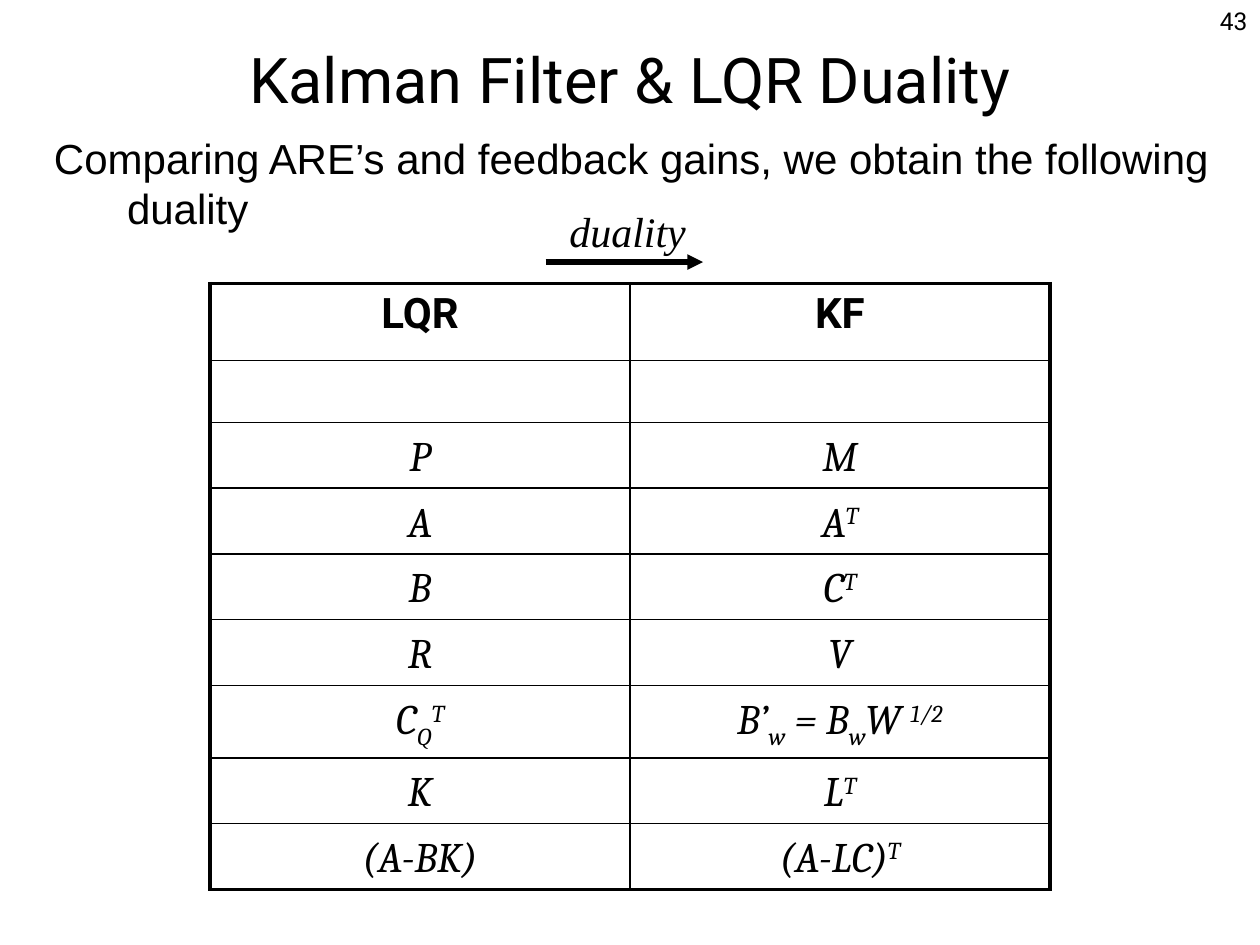
from typing import NamedTuple

from lxml.etree import SubElement as Sub
from pptx import Presentation
from pptx.dml.color import RGBColor as Rgb
from pptx.enum.text import MSO_ANCHOR as Anchor, MSO_AUTO_SIZE as Fit, PP_ALIGN as Align
from pptx.oxml.ns import qn
from pptx.util import Inches, Pt

WIDE, HIGH = 10, 7.5
INK = {"text": "000000", "page": "FFFFFF", "line": "000000"}
THICK, THIN = 2.25, 1
SHIFT = {"^": 30000, "_": -25000}

HEAD = dict(name="Roboto", size=Pt(24), bold=True)
MATH = dict(name="Cambria", size=Pt(24), italic=True)


class Pair(NamedTuple):
    """One table row; '|' parts runs, '^' raises and '_' lowers a run."""
    lqr: str
    kf: str


class Note(NamedTuple):
    """A text box with its place, look and paragraph alignment."""
    text: str
    box: tuple
    look: dict
    align: Align = Align.LEFT
    wrap: bool = True
    hang: float = 0


PAIRS = [
    Pair("LQR", "KF"),
    Pair("", ""),
    Pair("P", "M"),
    Pair("A", "A|^T"),
    Pair("B", "C|^T"),
    Pair("R", "V"),
    Pair("C|_Q|^T", "B’|_w| = B|_w|W |^1/2"),
    Pair("K", "L|^T"),
    Pair("(A-BK)", "(A-LC)|^T"),
]

NOTES = [
    Note("43", (7.92, 0, 2.08, 0.5), dict(name="Roboto", size=Pt(14)), Align.RIGHT),
    Note("Comparing ARE’s and feedback gains, we obtain the following duality",
         (0.33, 1, 9.42, 6.25), dict(name="Arial", size=Pt(24)), hang=0.58),
    Note("duality", (4.42, 1.58, 1.16, 0.5),
         dict(name="Times New Roman", size=Pt(24), italic=True), wrap=False),
]


def style(font, look: dict) -> None:
    """Set each format value and the text colour on a font."""
    for key, val in look.items():
        setattr(font, key, val)
    font.color.rgb = Rgb.from_string(INK["text"])


def write(para, text: str, look: dict) -> None:
    """Add runs, raised or lowered by their leading mark."""
    for part in text.split("|"):
        mark = part[:1]
        run = para.add_run()
        run.text = part[1:] if mark in SHIFT else part
        style(run.font, look)
        if mark in SHIFT:
            run._r.get_or_add_rPr().set("baseline", str(SHIFT[mark]))


def space(para) -> None:
    """Put a fifth of a line before the paragraph."""
    para.space_before = Pt(0)
    gap = para._p.pPr.find(qn("a:spcBef"))
    gap.clear()
    Sub(gap, qn("a:spcPct"), val="20000")


def place(shape, box: tuple) -> None:
    """Move and size a shape, in inches."""
    for key, val in zip(("left", "top", "width", "height"), box):
        setattr(shape, key, Inches(val))


def add_title(slide, text: str) -> None:
    """Fill and format the title placeholder."""
    title = slide.shapes.title
    place(title, (0.75, 0, WIDE - 1.5, 1.25))
    frame = title.text_frame
    frame.vertical_anchor, frame.auto_size = Anchor.MIDDLE, Fit.NONE
    para = frame.paragraphs[0]
    para.alignment = Align.CENTER
    write(para, text, dict(name="Roboto", size=Pt(36)))


def add_note(slide, note: Note) -> None:
    """Draw one text box."""
    shape = slide.shapes.add_textbox(*map(Inches, note.box))
    frame = shape.text_frame
    frame.word_wrap = note.wrap
    frame.auto_size = Fit.NONE if note.wrap else Fit.SHAPE_TO_FIT_TEXT
    para = frame.paragraphs[0]
    para.alignment = note.align
    write(para, note.text, note.look)
    if note.hang:
        space(para)
        props = para._p.get_or_add_pPr()
        props.set("marL", str(Inches(note.hang)))
        props.set("indent", str(-Inches(note.hang)))


def edge(cell, sides: dict) -> None:
    """Draw the four borders of a cell, widths in points."""
    props = cell._tc.get_or_add_tcPr()
    for side, width in sides.items():
        line = Sub(props, qn(f"a:ln{side}"), w=str(Pt(width)))
        Sub(Sub(line, qn("a:solidFill")), qn("a:srgbClr"), val=INK["line"])
    cell.fill.background()


def add_grid(slide, pairs: list) -> None:
    """Draw the table with a thick frame and thin inner lines."""
    rows, cols = len(pairs), len(Pair._fields)
    span = WIDE * 2 / 3
    box = ((WIDE - span) / 2, 2.25, span, 4.13)
    grid = slide.shapes.add_table(rows, cols, *map(Inches, box)).table
    grid.first_row = grid.horz_banding = False
    for r, pair in enumerate(pairs):
        grid.rows[r].height = Inches(0.44 if r else 0.61)
        for c, text in enumerate(pair):
            cell = grid.cell(r, c)
            para = cell.text_frame.paragraphs[0]
            para.alignment = Align.CENTER
            if text:
                if r:
                    para.line_spacing = 1.1
                space(para)
                write(para, text, MATH if r else HEAD)
            else:
                last = Sub(para._p, qn("a:endParaRPr"), sz="2400")
                Sub(last, qn("a:latin"), typeface=HEAD["name"])
            ends = dict(L=c == 0, R=c == cols - 1, T=r == 0, B=r == rows - 1)
            edge(cell, {k: THICK if end else THIN for k, end in ends.items()})


def add_arrow(slide, start: tuple, end: tuple) -> None:
    """Draw a straight arrow."""
    arrow = slide.shapes.add_connector(1, *map(Inches, start + end))
    arrow.line.width = Pt(3)
    arrow.line.color.rgb = Rgb.from_string(INK["line"])
    Sub(arrow.line._get_or_add_ln(), qn("a:tailEnd"), type="triangle")
    Sub(arrow._element.spPr, qn("a:effectLst"))


def main() -> None:
    """Build and save the slide."""
    deck = Presentation()
    deck.slide_width, deck.slide_height = Inches(WIDE), Inches(HIGH)
    slide = deck.slides.add_slide(deck.slide_layouts[5])
    fill = slide.background.fill
    fill.solid()
    fill.fore_color.rgb = Rgb.from_string(INK["page"])
    page, body, label = NOTES
    add_note(slide, page)
    add_title(slide, "Kalman Filter & LQR Duality")
    add_note(slide, body)
    add_grid(slide, PAIRS)
    add_arrow(slide, (4.33, 2.08), (5.58, 2.08))
    add_note(slide, label)
    deck.save("out.pptx")


main()
